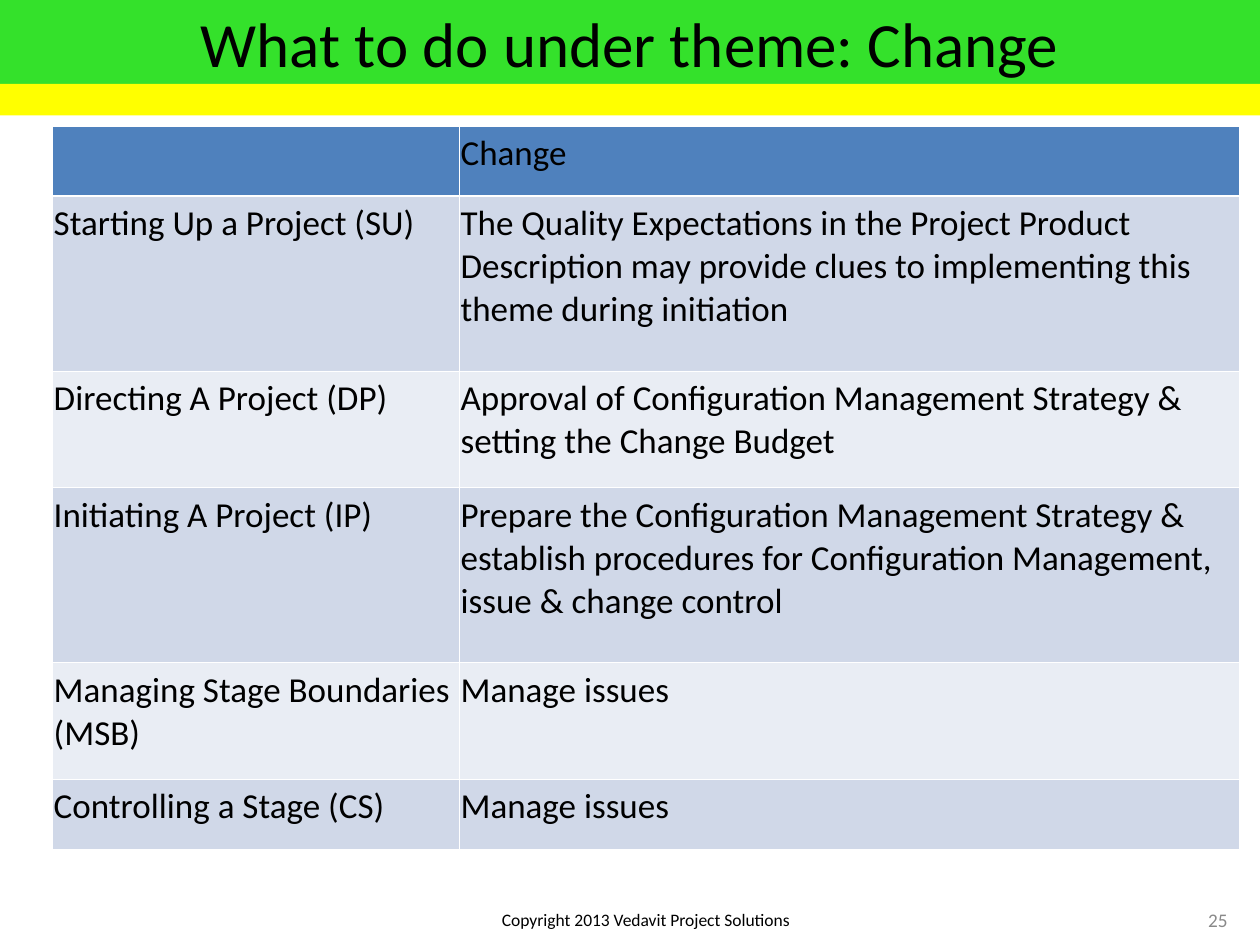
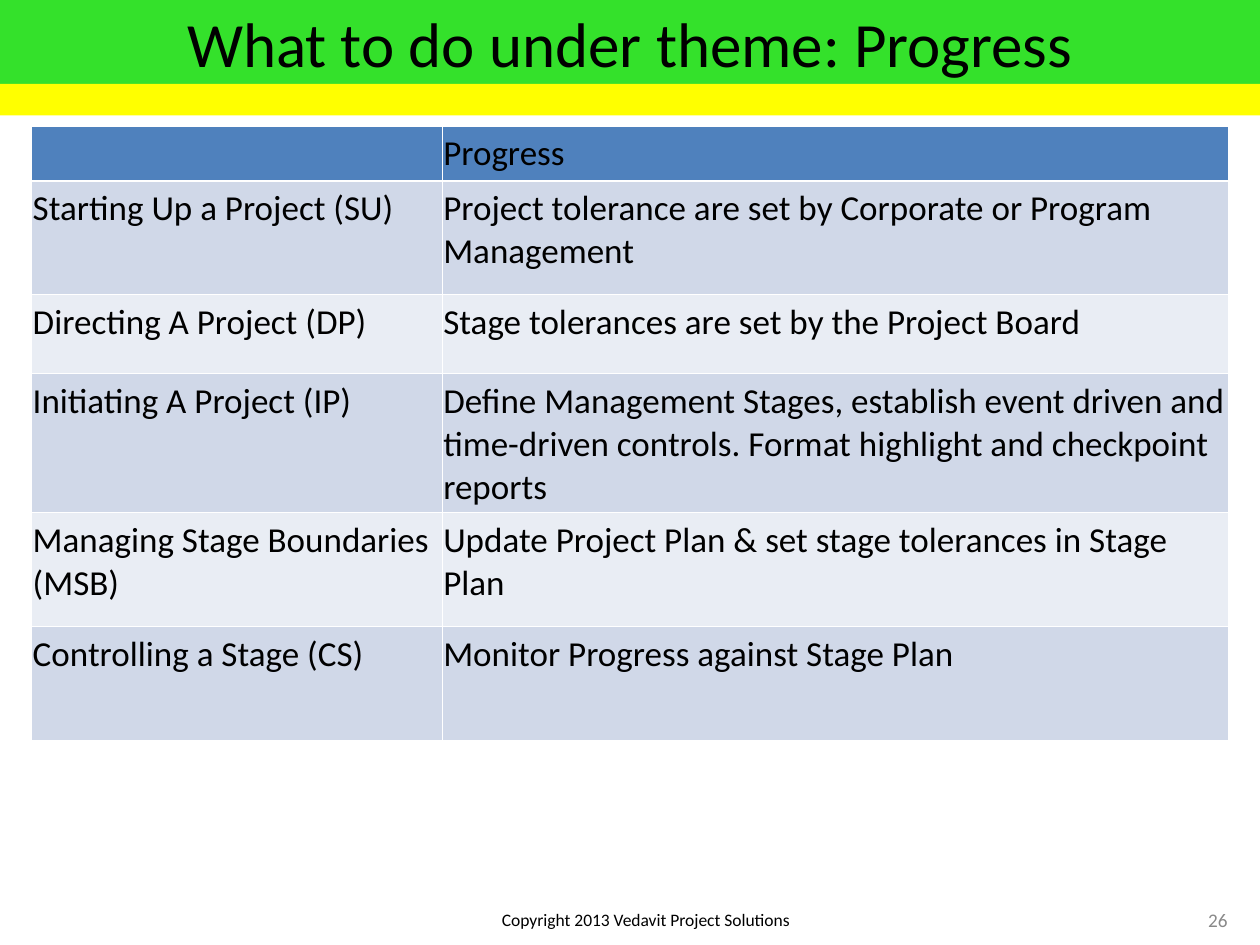
"""Build two slides that list what each process does for a theme."""

from dataclasses import dataclass

from lxml.etree import SubElement
from pptx import Presentation
from pptx.dml.color import RGBColor
from pptx.enum.shapes import MSO_SHAPE
from pptx.enum.text import MSO_ANCHOR as Anchor, PP_ALIGN as Align
from pptx.oxml.ns import qn
from pptx.util import Emu, Inches, Pt

GREEN = RGBColor(0x34, 0xE1, 0x2B)
YELLOW = RGBColor(0xFF, 0xFF, 0x00)
HEADER_BLUE = RGBColor(0x4F, 0x81, 0xBD)
STRIPES = (RGBColor(0xE9, 0xED, 0xF4), RGBColor(0xD0, 0xD8, 0xE8))
WHITE = RGBColor(0xFF, 0xFF, 0xFF)
BLACK = RGBColor(0x00, 0x00, 0x00)
GREY = RGBColor(0x89, 0x89, 0x89)

FONT = "Calibri"
COLUMNS, ROWS = 120, 90
UNIT = Inches(10) / COLUMNS
THIN, THICK = Pt(0.45), Pt(1.47)
TABLE_TOP = 12
FIRST_PAGE_NUMBER = 25
COPYRIGHT = "Copyright 2013 Vedavit Project Solutions"
PROCESSES = (
    "Starting Up a Project (SU)",
    "Directing A Project (DP)",
    "Initiating A Project (IP)",
    "Managing Stage Boundaries (MSB)",
    "Controlling a Stage (CS)",
)


@dataclass(frozen=True)
class Area:
    """A rectangle measured in grid columns and rows."""

    left: float
    top: float
    width: float
    height: float

    def emu(self) -> tuple[Emu, ...]:
        """Return the rectangle in slide lengths."""
        return tuple(map(grid, (self.left, self.top, self.width, self.height)))


@dataclass(frozen=True)
class Theme:
    """One theme with its table layout and an action for each process."""

    name: str
    left: float
    column_widths: tuple[float, float]
    row_heights: tuple[float, ...]
    actions: tuple[str, ...]


TITLE_BAND = Area(0, 0, COLUMNS, 8)
YELLOW_BAND = Area(0, 8, COLUMNS, 3)
COPYRIGHT_AREA = Area(44, 86, 35, 3)
NUMBER_AREA = Area(112, 85.2, 8, 4.8)

THEMES = (
    Theme(
        "Change", 5, (38.75, 74.25), (6.67, 16.67, 11.11, 16.67, 11.11, 6.67),
        (
            "The Quality Expectations in the Project Product Description may "
            "provide clues to implementing this theme during initiation",
            "Approval of Configuration Management Strategy & setting the Change Budget",
            "Prepare the Configuration Management Strategy & establish procedures "
            "for Configuration Management, issue & change control",
            "Manage issues",
            "Manage issues",
        ),
    ),
    Theme(
        "Progress", 3, (39.1, 74.9), (4.95, 10.87, 7.53, 12.12, 10.87, 10.87),
        (
            "Project tolerance are set by Corporate or Program Management",
            "Stage tolerances are set by the Project Board",
            "Define Management Stages, establish event driven and time-driven "
            "controls. Format highlight and checkpoint reports",
            "Update Project Plan & set stage tolerances in Stage Plan",
            "Monitor Progress against Stage Plan",
        ),
    ),
)


def grid(units: float) -> Emu:
    """Turn grid units into a slide length."""
    return Emu(round(units * UNIT))


def write(frame, text: str, size: float, color: RGBColor, align=Align.CENTER) -> None:
    """Write one styled paragraph."""
    frame.word_wrap = True
    para = frame.paragraphs[0]
    para.text = text
    para.alignment = align
    para.font.name = FONT
    para.font.size = Pt(size)
    para.font.bold = False
    para.font.color.rgb = color


def add_band(page, area: Area, color: RGBColor):
    """Add a plain coloured band."""
    band = page.shapes.add_shape(MSO_SHAPE.RECTANGLE, *area.emu())
    band.shadow.inherit = False
    band.fill.solid()
    band.fill.fore_color.rgb = color
    band.line.fill.background()
    return band


def add_label(page, area: Area, text: str, size: float, color: RGBColor, anchor) -> None:
    """Add a small centred text box."""
    frame = page.shapes.add_textbox(*area.emu()).text_frame
    frame.vertical_anchor = anchor
    write(frame, text, size, color)


def add_borders(cell, top: Emu, bottom: Emu) -> None:
    """Draw white lines on all four sides of a cell."""
    properties = cell._tc.get_or_add_tcPr()
    for side, width in (("L", THIN), ("R", THIN), ("T", top), ("B", bottom)):
        line = SubElement(properties, qn(f"a:ln{side}"), w=str(width))
        fill = SubElement(line, qn("a:solidFill"))
        SubElement(fill, qn("a:srgbClr"), val=str(WHITE))


def add_theme_table(page, theme: Theme) -> None:
    """Add the table of processes and actions."""
    entries = (("", theme.name), *zip(PROCESSES, theme.actions))
    area = Area(theme.left, TABLE_TOP, sum(theme.column_widths), sum(theme.row_heights))
    table = page.shapes.add_table(len(entries), 2, *area.emu()).table
    for column, width in zip(table.columns, theme.column_widths):
        column.width = grid(width)
    for index, (row, height, texts) in enumerate(
        zip(table.rows, theme.row_heights, entries)
    ):
        row.height = grid(height)
        for cell, text in zip(row.cells, texts):
            add_borders(
                cell,
                top=THICK if index == 1 else THIN,
                bottom=THICK if index == 0 else THIN,
            )
            cell.fill.solid()
            cell.fill.fore_color.rgb = STRIPES[index % 2] if index else HEADER_BLUE
            cell.margin_left = cell.margin_right = Inches(0.01)
            cell.margin_top = cell.margin_bottom = Inches(0.05)
            write(cell.text_frame, text, 20, BLACK, Align.LEFT)


def add_theme_page(deck, theme: Theme, number: int) -> None:
    """Add one complete slide for a theme."""
    page = deck.slides.add_slide(deck.slide_layouts[6])
    add_label(page, COPYRIGHT_AREA, COPYRIGHT, 10, BLACK, Anchor.TOP)
    title = add_band(page, TITLE_BAND, GREEN).text_frame
    title.vertical_anchor = Anchor.MIDDLE
    write(title, f"What to do under theme: {theme.name}", 36, BLACK)
    add_theme_table(page, theme)
    add_band(page, YELLOW_BAND, YELLOW)
    add_label(page, NUMBER_AREA, str(number), 11, GREY, Anchor.MIDDLE)


def main() -> None:
    """Build and save the deck."""
    deck = Presentation()
    deck.slide_width, deck.slide_height = grid(COLUMNS), grid(ROWS)
    for number, theme in enumerate(THEMES, FIRST_PAGE_NUMBER):
        add_theme_page(deck, theme, number)
    deck.save("out.pptx")


if __name__ == "__main__":
    main()
